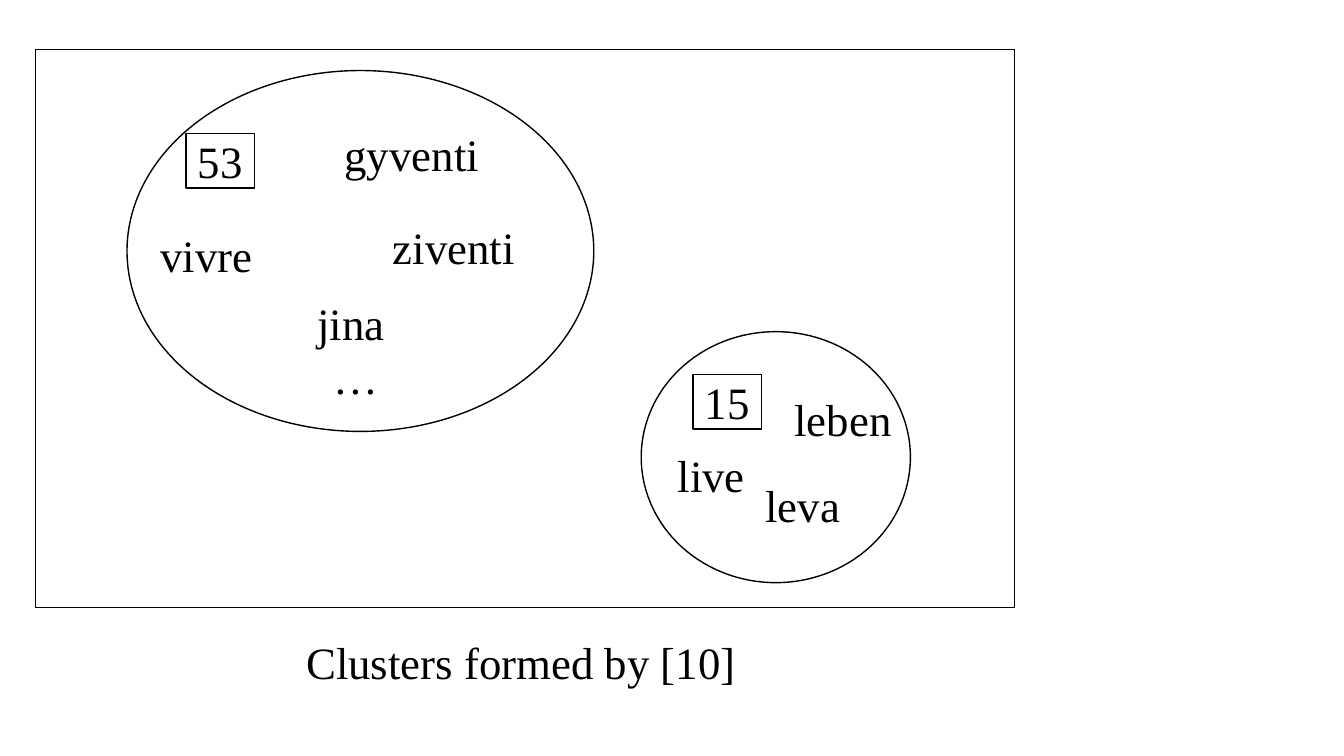
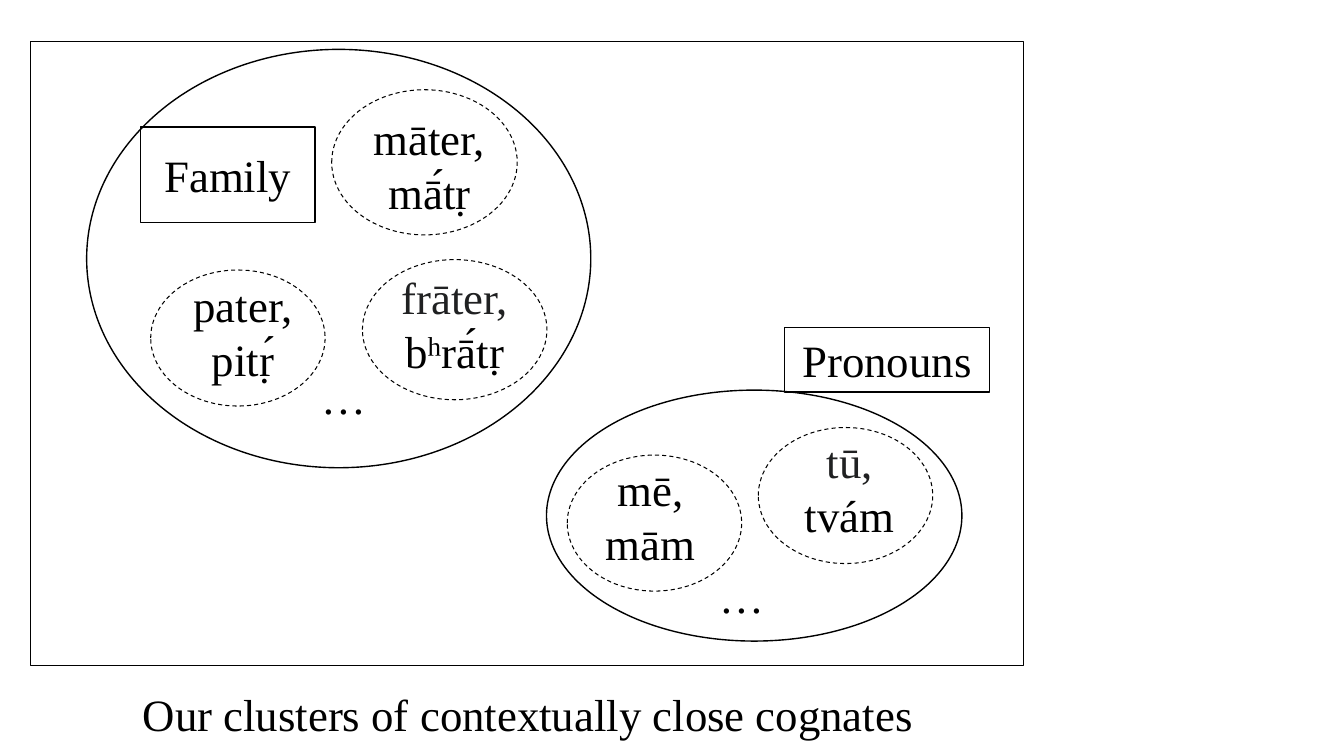
from dataclasses import dataclass

from pptx import Presentation
from pptx.dml.color import RGBColor
from pptx.enum.dml import MSO_LINE_DASH_STYLE as Dash
from pptx.enum.shapes import MSO_SHAPE as Shape
from pptx.enum.text import MSO_ANCHOR as Anchor, PP_ALIGN as Align
from pptx.util import Inches, Pt

FONT = "Times New Roman"
TEXT_SIZE = 32
BLACK, CHARCOAL = "000000", "202122"
WORD_SIZE = (1.92, 0.64)
PAIR_SIZE = (1.92, 1.12)
PAIR_OVAL_SIZE = (1.73, 1.35)


@dataclass
class Box:
    """An area in inches."""
    left: float
    top: float
    width: float
    height: float

    def centred(self, point, size):
        """Box of the given size whose centre lies at shares of this box."""
        (across, down), (width, height) = point, size
        return Box(self.left + across * self.width - width / 2,
                   self.top + down * self.height - height / 2, width, height)

    def emu(self):
        return [Inches(n) for n in (self.left, self.top, self.width, self.height)]


def color(hex_string):
    return RGBColor.from_string(hex_string)


def write(shape, lines, colors=(BLACK,), anchor=Anchor.TOP):
    """Centre the lines in the shape; the last colour serves any further lines."""
    frame = shape.text_frame
    frame.word_wrap = True
    frame.vertical_anchor = anchor
    frame.text = "\n".join(lines)
    for index, paragraph in enumerate(frame.paragraphs):
        paragraph.alignment = Align.CENTER
        for run in paragraph.runs:
            run.font.name = FONT
            run.font.size = Pt(TEXT_SIZE)
            run.font.color.rgb = color(colors[min(index, len(colors) - 1)])


def add_outline(slide, kind, box, weight=1, dash=None):
    shape = slide.shapes.add_shape(kind, *box.emu())
    shape.shadow.inherit = False
    shape.fill.background()
    shape.line.color.rgb = color(BLACK)
    shape.line.width = Pt(weight)
    if dash:
        shape.line.dash_style = dash
    return shape


def add_label(slide, box, lines, colors=(BLACK,)):
    write(slide.shapes.add_textbox(*box.emu()), lines, colors)


def add_cluster(slide, box, tag, words, pairs=()):
    """Oval with a boxed tag, loose words and dashed ovals holding word pairs."""
    add_outline(slide, Shape.OVAL, box)
    for word, point in words:
        add_label(slide, box.centred(point, WORD_SIZE), [word])
    for lines, colors, text_point, oval_point, oval_size in pairs:
        add_outline(slide, Shape.OVAL, box.centred(oval_point, oval_size), 0.75, Dash.DASH)
        add_label(slide, box.centred(text_point, PAIR_SIZE), lines, colors)
    name, point, size = tag
    tag_shape = add_outline(slide, Shape.RECTANGLE, box.centred(point, size))
    write(tag_shape, [name], anchor=Anchor.MIDDLE)


def add_cluster_slide(presentation, frame, caption, caption_box, clusters):
    slide = presentation.slides.add_slide(presentation.slide_layouts[6])
    add_outline(slide, Shape.RECTANGLE, frame)
    for cluster in clusters:
        add_cluster(slide, *cluster)
    add_label(slide, caption_box, [caption])


NUMBER_TAG = (0.68, 0.54)
NUMBERED_CLUSTERS = [
    (Box(1.26, 0.7, 4.63, 3.58), ("53", (0.2, 0.25), NUMBER_TAG),
     [("gyventi", (0.61, 0.23)), ("ziventi", (0.7, 0.49)), ("vivre", (0.17, 0.51)),
      ("jina", (0.48, 0.7)), ("…", (0.49, 0.85))]),
    (Box(6.36, 3.29, 2.67, 2.49), ("15", (0.32, 0.28), NUMBER_TAG),
     [("leben", (0.75, 0.35)), ("live", (0.26, 0.57)), ("leva", (0.6, 0.69))]),
]
COGNATE_CLUSTERS = [
    (Box(0.86, 0.49, 5, 4.15), ("Family", (0.28, 0.3), (1.73, 0.95)),
     [("…", (0.51, 0.83))],
     [(["māter,", "mā́tṛ"], [BLACK], (0.68, 0.27), (0.67, 0.27), (1.84, 1.44)),
      (["frāter,", "bʰrā́tṛ"], [CHARCOAL, BLACK], (0.73, 0.65), (0.73, 0.67), (1.83, 1.39)),
      (["pater,", "pitṛ́"], [BLACK], (0.31, 0.67), (0.3, 0.69), PAIR_OVAL_SIZE)]),
    (Box(5.42, 3.87, 4.12, 2.49), ("Pronouns", (0.82, -0.12), (2.03, 0.64)),
     [("…", (0.47, 0.82))],
     [(["tū,", "tvám"], [CHARCOAL, BLACK], (0.73, 0.38), (0.72, 0.42), PAIR_OVAL_SIZE),
      (["mē,", "mām"], [BLACK], (0.25, 0.49), (0.26, 0.53), PAIR_OVAL_SIZE)]),
]


def main():
    presentation = Presentation()
    presentation.slide_width, presentation.slide_height = Inches(13.33), Inches(7.5)
    add_cluster_slide(presentation, Box(0.35, 0.49, 9.71, 5.54), "Clusters formed by [10]",
                      Box(1.44, 6.25, 7.46, 0.64), NUMBERED_CLUSTERS)
    add_cluster_slide(presentation, Box(0.3, 0.41, 9.85, 6.19),
                      "Our clusters of contextually close cognates",
                      Box(0.39, 6.76, 9.7, 0.64), COGNATE_CLUSTERS)
    presentation.save("out.pptx")


if __name__ == "__main__":
    main()
